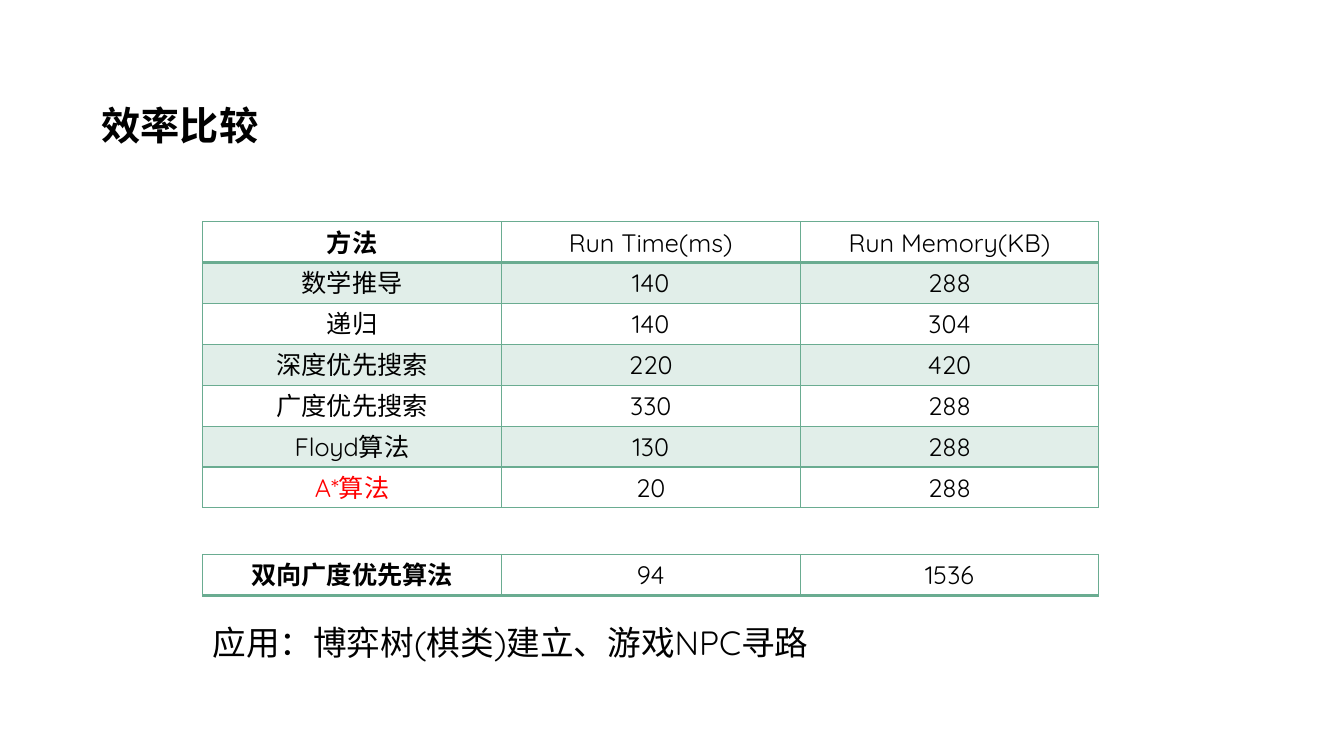
from lxml.etree import SubElement
from pptx import Presentation
from pptx.dml.color import RGBColor
from pptx.enum.text import MSO_ANCHOR, PP_ALIGN
from pptx.oxml import parse_xml
from pptx.oxml.ns import nsdecls, qn
from pptx.util import Inches, Pt

COLORS = {"text": "000000", "green": "6AAC91", "highlight": "FF0000"}
TITLE_FONT, BODY_FONT = "Noto Sans CJK SC", "Quicksand"
METHODS = [
    ("方法", "Run Time(ms)", "Run Memory(KB)"),
    ("数学推导", "140", "288"),
    ("递归", "140", "304"),
    ("深度优先搜索", "220", "420"),
    ("广度优先搜索", "330", "288"),
    ("Floyd算法", "130", "288"),
    ("A*算法", "20", "288"),
]
BIDIRECTIONAL = [("双向广度优先算法", "94", "1536")]


def rgb(name):
    return RGBColor.from_string(COLORS[name])


def write(tf, text, size, font=BODY_FONT, bold=False, color="text"):
    tf.text = text
    r = tf.paragraphs[0].runs[0]
    r.font.size, r.font.name, r.font.bold = Pt(size), font, bold
    r.font.color.rgb = rgb(color)
    SubElement(r.font._element, qn("a:ea"), typeface=font)


def add_text(slide, box, text, size, anchor=MSO_ANCHOR.TOP, **style):
    tf = slide.shapes.add_textbox(*map(Inches, box)).text_frame
    tf.word_wrap = True
    tf.vertical_anchor = anchor
    write(tf, text, size, **style)


def style_cell(cell, banded, bottom_width):
    """Fill the cell if banded, then draw its four borders."""
    if banded:
        cell.fill.solid()
        cell.fill.fore_color.rgb = rgb("green")
        color = cell._tc.tcPr.find(".//" + qn("a:srgbClr"))
        SubElement(color, qn("a:alpha"), val="20000")
    else:
        cell.fill.background()
    widths = {"lnL": 1, "lnR": 1, "lnT": 1, "lnB": bottom_width}
    for i, (side, width) in enumerate(widths.items()):
        cell._tc.tcPr.insert(i, parse_xml(
            f'<a:{side} {nsdecls("a")} w="{Pt(width)}"><a:solidFill>'
            f'<a:srgbClr val="{COLORS["green"]}"/></a:solidFill></a:{side}>'))


def add_results(slide, box, rows):
    """Add a results table whose first row has a bold label and a thick bottom line."""
    left, top, width, height = map(Inches, box)
    table = slide.shapes.add_table(len(rows), len(rows[0]), left, top, width, height).table
    table.first_row = table.horz_banding = False
    for i, row in enumerate(rows):
        for j, text in enumerate(row):
            cell = table.cell(i, j)
            color = "highlight" if text == "A*算法" else "text"
            write(cell.text_frame, text, 18, bold=i == j == 0, color=color)
            cell.text_frame.paragraphs[0].alignment = PP_ALIGN.CENTER
            style_cell(cell, banded=i % 2 == 1, bottom_width=2 if i == 0 else 1)


def build_comparison(prs):
    slide = prs.slides.add_slide(prs.slide_layouts[6])
    add_text(slide, (0.91, 0.95, 11.8, 0.57), "效率比较", 28,
             anchor=MSO_ANCHOR.MIDDLE, font=TITLE_FONT, bold=True)
    add_results(slide, (2.01, 2.2, 8.89, 2.84), METHODS)
    add_results(slide, (2.01, 5.5, 8.89, 0.41), BIDIRECTIONAL)
    add_text(slide, (2.01, 6.12, 11.08, 0.5), "应用：博弈树(棋类)建立、游戏NPC寻路", 24)


def main():
    prs = Presentation()
    prs.slide_width, prs.slide_height = Inches(13.33), Inches(7.5)
    build_comparison(prs)
    prs.save("out.pptx")


if __name__ == "__main__":
    main()
